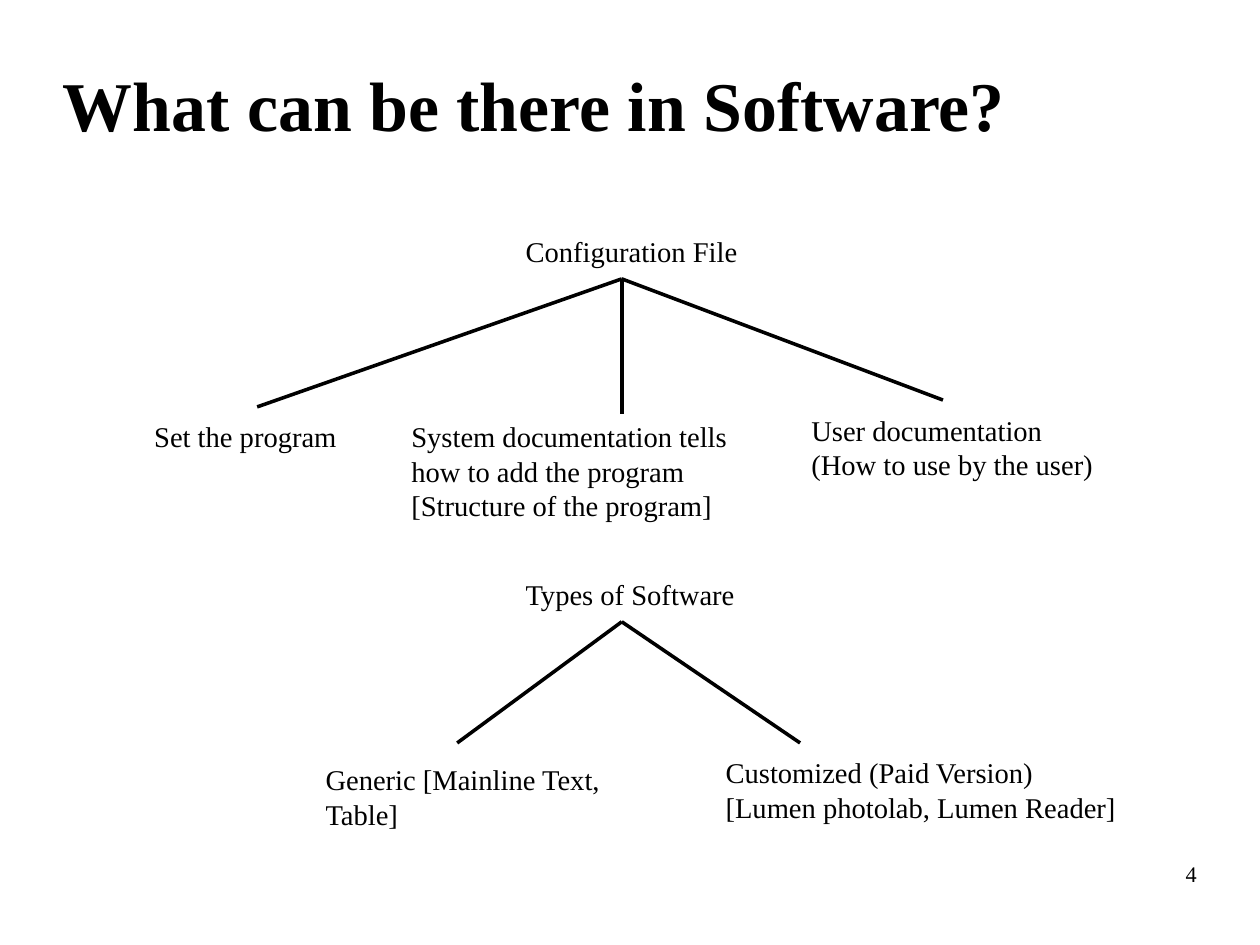
from dataclasses import dataclass

from lxml import etree
from pptx import Presentation
from pptx.dml.color import RGBColor
from pptx.enum.shapes import MSO_CONNECTOR
from pptx.enum.text import MSO_ANCHOR, MSO_AUTO_SIZE, PP_ALIGN
from pptx.oxml.ns import qn
from pptx.util import Inches, Pt

LINE = MSO_CONNECTOR.STRAIGHT
TOP, MIDDLE = MSO_ANCHOR.TOP, MSO_ANCHOR.MIDDLE
FIXED = MSO_AUTO_SIZE.NONE
LEFT, RIGHT = PP_ALIGN.LEFT, PP_ALIGN.RIGHT
INCH = 2.54


@dataclass(frozen=True)
class Theme:
    """Colours, font and sizes of the slide."""
    ink: RGBColor = RGBColor(0, 0, 0)
    paper: RGBColor = RGBColor(255, 255, 255)
    face: str = "Times New Roman"
    title: float = 44
    body: float = 18
    page: float = 14
    line: float = 2.25


THEME = Theme()

CONFIG = [
    ((0, 1.62, 1.99, 0.38), (1, 1.56), ["Set the program"]),
    ((2.25, 1.62, 3.32, 0.94), (4.19, 1.62),
     ["System documentation tells", "how to add the program",
      "[Structure of the program]"]),
    ((5.75, 1.56, 2.92, 0.66), (7, 1.5),
     ["User documentation", "(How to use by the user)"]),
]
TYPES = [
    ((0, 1.62, 3.03, 0.66), (1.25, 1.5),
     ["Generic [Mainline Text,", "Table]"]),
    ((3.5, 1.56, 4.5, 0.94), (4.25, 1.5),
     ["Customized (Paid Version)", "[Lumen photolab, Lumen Reader]"]),
]


def write(shape, box, lines, size, pad=(0, 0), anchor=TOP, align=LEFT, bold=False):
    """Place a text shape and fill it with styled lines."""
    shape.left, shape.top, shape.width, shape.height = map(Inches, box)
    frame = shape.text_frame
    frame.word_wrap = True
    frame.auto_size = FIXED
    frame.vertical_anchor = anchor
    frame.margin_left = frame.margin_right = Inches(pad[0])
    frame.margin_top = frame.margin_bottom = Inches(pad[1])
    frame.text = "\n".join(lines)
    for para in frame.paragraphs:
        para.alignment = align
        font = para.font
        font.name, font.size, font.bold = THEME.face, Pt(size), bold
        font.color.rgb = THEME.ink


def label(slide, box, lines, size=THEME.body, **style):
    """Add a text box."""
    shape = slide.shapes.add_textbox(*map(Inches, box))
    write(shape, box, lines, size, **style)


def branch(slide, start, end):
    """Draw a plain line between two points."""
    link = slide.shapes.add_connector(LINE, *map(Inches, (*start, *end)))
    link.line.color.rgb = THEME.ink
    link.line.width = Pt(THEME.line)
    etree.SubElement(link._element.spPr, qn("a:effectLst"))


def header(slide, box, text):
    """Set the slide title."""
    title = slide.shapes.title
    write(title, box, [text], THEME.title, anchor=MIDDLE, bold=True)
    title.text_frame.paragraphs[0].line_spacing = 0.9


def tree(slide, box, head, shift, leaves):
    """Draw a heading with lines down to its leaves."""
    left, top, width, height = box
    pad = (0.1, 0.05)
    label(slide, (left + shift, top, width, height), [head], pad=pad)
    apex = (left + shift + 0.94, top + 0.44)
    for (x, y, wide, high), (tip, drop), lines in leaves:
        branch(slide, apex, (left + tip, top + drop))
        label(slide, (left + x, top + y, wide, high), lines, pad=pad)


def footer(slide, box, number):
    """Add the page number."""
    label(slide, box, [number], THEME.page, align=RIGHT)


def main():
    """Build and save the slide."""
    deck = Presentation()
    deck.slide_width, deck.slide_height = Inches(28 / INCH), Inches(21 / INCH)
    slide = deck.slides.add_slide(deck.slide_layouts[5])
    slide.background.fill.solid()
    slide.background.fill.fore_color.rgb = THEME.paper
    header(slide, (0.55, 0.33, 8.43, 1.25), "What can be there in Software?")
    tree(slide, (1.25, 2, 2.59, 0.38), "Configuration File", 3.25, CONFIG)
    tree(slide, (2.75, 5, 2.2, 0.38), "Types of Software", 1.75, TYPES)
    footer(slide, (7.9, 7.53, 2.57, 0.57), "4")
    deck.save("out.pptx")


if __name__ == "__main__":
    main()
